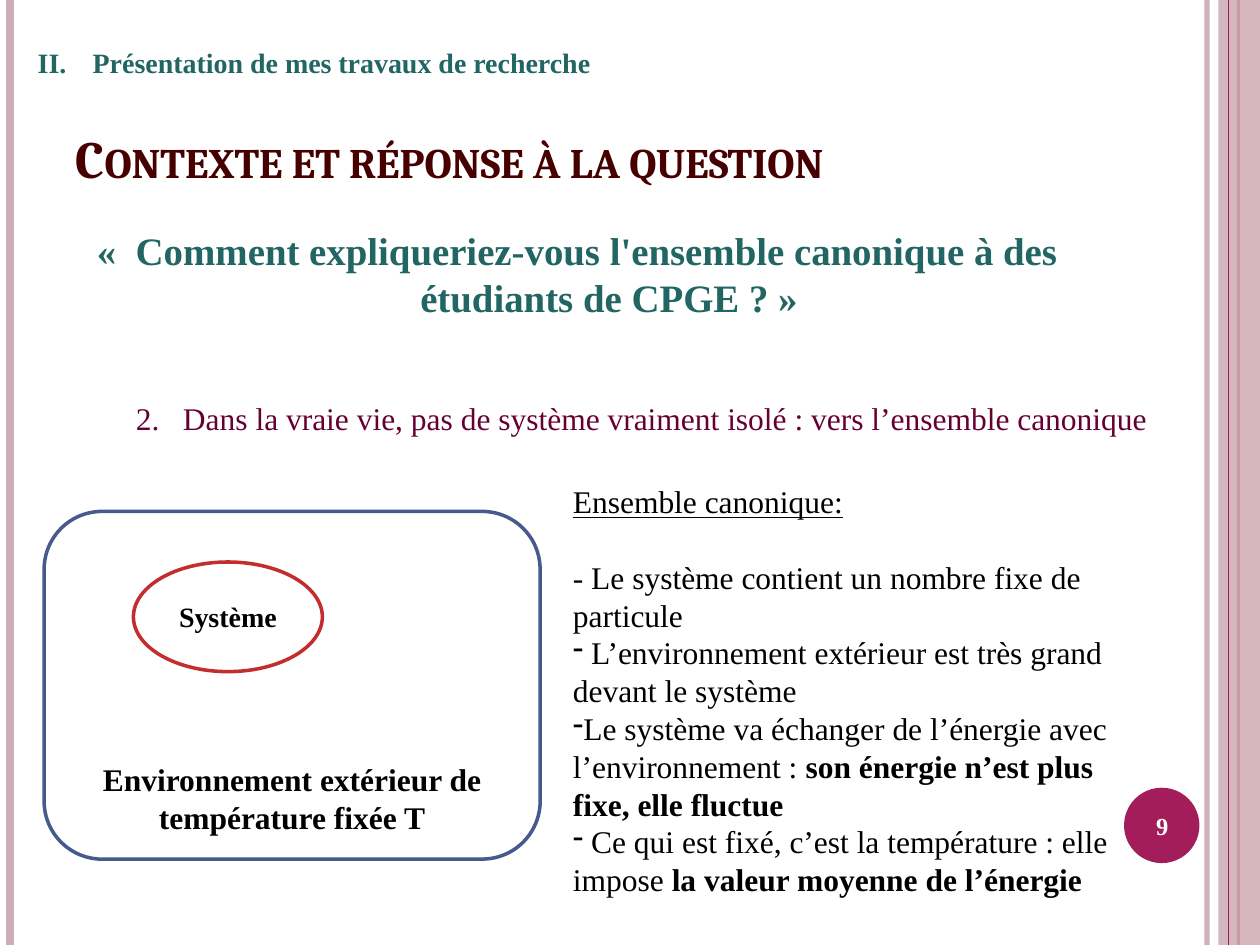
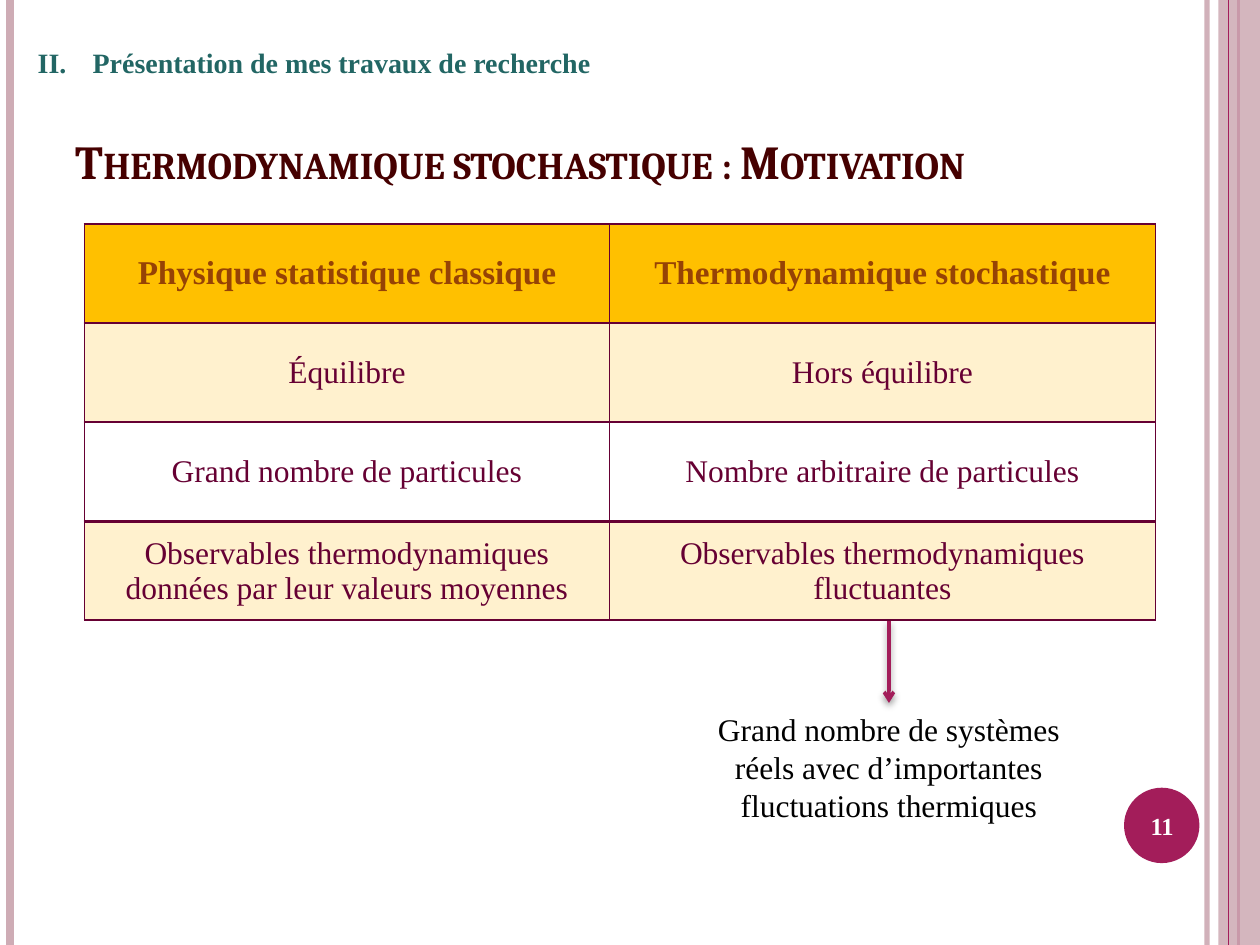
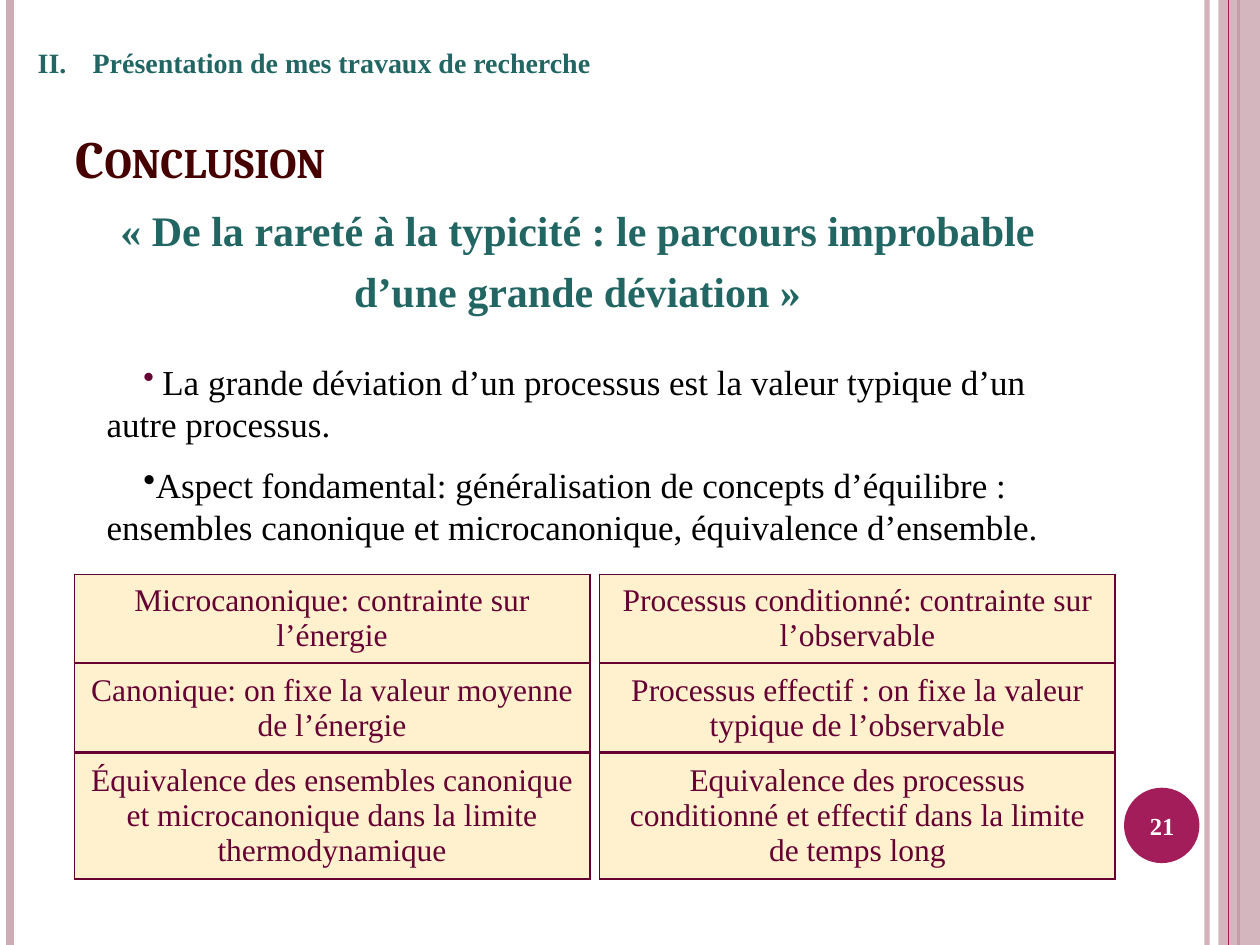
from lxml.etree import SubElement
from pptx import Presentation
from pptx.dml.color import RGBColor
from pptx.enum.shapes import MSO_CONNECTOR, MSO_SHAPE as SHAPE
from pptx.enum.text import MSO_ANCHOR as ANCHOR, PP_ALIGN as ALIGN
from pptx.oxml.ns import qn
from pptx.util import Cm, Pt

COLORS = {
    "rose": "CEACB5", "crimson": "A31D5A", "plum": "660033",
    "teal": "226664", "maroon": "460000", "brown": "964305",
    "gold": "FFC000", "cream": "FFF1CE", "blue": "475A8D",
    "red": "C32D2E", "white": "FFFFFF", "black": "000000",
}
BODY_FONT, TITLE_FONT = "Times New Roman", "Cambria"
SLIDE_W, SLIDE_H = 25.4, 19.05
TABLE_GAP = 0.02
SECTION = "Présentation de mes travaux de recherche"


def rgb(name):
    return RGBColor.from_string(COLORS[name])


# --- Text ---

def add_para(tf, align=ALIGN.LEFT, before=0):
    """Use the empty first paragraph, or add one."""
    p = tf.paragraphs[0]
    if p.runs:
        p = tf.add_paragraph()
    p.alignment = align
    p.space_before = Pt(before)
    return p


def add_run(p, text, size=18, color="black", bold=False, underline=False,
            font=BODY_FONT):
    r = p.add_run()
    r.text = text
    r.font.name, r.font.size = font, Pt(size)
    r.font.bold, r.font.underline = bold, underline
    r.font.color.rgb = rgb(color)
    return r


def set_indent(p, left, first):
    pPr = p._p.get_or_add_pPr()
    pPr.set("marL", str(Cm(left)))
    pPr.set("indent", str(Cm(first)))
    return pPr


def set_bullet(p, char, first=0):
    pPr = set_indent(p, 0, first)
    SubElement(pPr, qn("a:buFontTx"))
    SubElement(pPr, qn("a:buChar"), char=char)


def set_number(p, scheme, start, hanging):
    pPr = set_indent(p, hanging, -hanging)
    SubElement(pPr, qn("a:buAutoNum"), type=scheme, startAt=str(start))


def add_text_box(s, left, top, width, height, anchor=ANCHOR.TOP):
    box = s.shapes.add_textbox(Cm(left), Cm(top), Cm(width), Cm(height))
    box.text_frame.word_wrap = True
    box.text_frame.vertical_anchor = anchor
    return box


# --- Shapes and lines ---

def set_alpha(shape, percent):
    for clr in shape.element.iter(qn("a:srgbClr")):
        SubElement(clr, qn("a:alpha"), val=str(percent * 1000))


def add_filled(s, kind, left, top, width, height, fill, line=None):
    shape = s.shapes.add_shape(kind, Cm(left), Cm(top), Cm(width), Cm(height))
    shape.shadow.inherit = False
    shape.fill.solid()
    shape.fill.fore_color.rgb = rgb(fill)
    if line:
        shape.line.color.rgb = rgb(line)
        shape.line.width = Pt(2)
    else:
        shape.line.fill.background()
    return shape


def add_line(s, x1, y1, x2, y2, color, width):
    line = s.shapes.add_connector(MSO_CONNECTOR.STRAIGHT,
                                  Cm(x1), Cm(y1), Cm(x2), Cm(y2))
    line.line.color.rgb = rgb(color)
    line.line.width = Pt(width)
    SubElement(line.element.spPr, qn("a:effectLst"))
    return line


def add_arrow(s, x, top, target):
    """Arrow with a soft shadow, down to the top of target."""
    arrow = add_line(s, x, top, x, top + 1.6, "crimson", 2)
    arrow.end_connect(target, 0)
    spPr = arrow.element.spPr
    SubElement(spPr.find(qn("a:ln")), qn("a:tailEnd"), type="arrow")
    shadow = SubElement(spPr.find(qn("a:effectLst")), qn("a:outerShdw"),
                        blurRad=str(Pt(4)), dist=str(Pt(2)),
                        dir="5400000", rotWithShape="0")
    clr = SubElement(shadow, qn("a:srgbClr"), val=COLORS["black"])
    SubElement(clr, qn("a:alpha"), val="40000")


# --- Tables ---

def set_borders(cell, color):
    tcPr = cell._tc.get_or_add_tcPr()
    for side in ("lnL", "lnR", "lnT", "lnB"):
        ln = SubElement(tcPr, qn("a:" + side), w=str(Pt(1)))
        fill = SubElement(ln, qn("a:solidFill"))
        SubElement(fill, qn("a:srgbClr"), val=COLORS[color])


def add_row_table(s, left, top, widths, height, texts, fill="cream",
                  **style):
    table = s.shapes.add_table(1, len(texts), Cm(left), Cm(top),
                               Cm(sum(widths)), Cm(height)).table
    table.first_row = table.horz_banding = False
    for column, cell, width, text in zip(table.columns, table.rows[0].cells,
                                         widths, texts):
        column.width = Cm(width)
        set_borders(cell, "plum")
        if fill:
            cell.fill.solid()
            cell.fill.fore_color.rgb = rgb(fill)
        else:
            cell.fill.background()
        cell.vertical_anchor = ANCHOR.MIDDLE
        p = add_para(cell.text_frame, ALIGN.CENTER)
        add_run(p, text, **{"color": "plum", **style})


# --- Shared frame ---

def add_frame(s, layout):
    """Draw the side bands and page disc, then hand them to the layout."""
    inner = add_line(s, 24.33, 0, 24.33, SLIDE_H, "rose", 3)
    set_alpha(inner, 93)
    left_band = add_line(s, 0.2, 0, 0.2, SLIDE_H, "rose", 4.5)
    outer = add_line(s, 24.97, 0, 24.97, SLIDE_H, "crimson", 1.5)
    band = add_filled(s, SHAPE.RECTANGLE, 24.56, 0, 0.84, SLIDE_H, "rose")
    set_alpha(band, 87)
    thin = add_line(s, 24.77, 0, 24.77, SLIDE_H, "crimson", 0.75)
    disc = add_filled(s, SHAPE.OVAL, 22.66, 15.88, 1.52, 1.52, "crimson")
    for shape in (inner, left_band, outer, band, thin, disc):
        layout.shapes.element.append(shape.element)


def add_slide(prs, title, number, title_size=30):
    s = prs.slides.add_slide(prs.slide_layouts[5])
    ph = s.shapes.title
    ph.left, ph.top, ph.width, ph.height = Cm(1.27), Cm(2.13), Cm(22.83), Cm(1.8)
    ph.text_frame.vertical_anchor = ANCHOR.BOTTOM
    r = add_run(add_para(ph.text_frame), title, title_size, "maroon",
                bold=True, font=TITLE_FONT)
    r._r.get_or_add_rPr().set("cap", "small")

    section = add_text_box(s, 0.51, 0.74, 16.79, 1.02, ANCHOR.MIDDLE)
    p = add_para(section.text_frame)
    set_number(p, "romanUcPeriod", 2, 1.11)
    add_run(p, SECTION, 16, "teal", bold=True)

    page = add_text_box(s, 22.58, 15.93, 1.7, 1.45, ANCHOR.MIDDLE)
    p = add_para(page.text_frame, ALIGN.CENTER)
    add_run(p, str(number), 14, "white", bold=True)
    return s


def add_quote(s, top, height, lines, size):
    tf = add_text_box(s, 1.27, top, 20.75, height).text_frame
    for i, line in enumerate(lines):
        p = add_para(tf, ALIGN.CENTER, before=6 if i else 0)
        set_indent(p, 1.27, -1.27)
        add_run(p, line, size, "teal", bold=True)


# --- Slides ---

def add_context(s):
    add_quote(s, 4.45, 2.08, [
        "«  Comment expliqueriez-vous l'ensemble canonique à des "
        "étudiants de CPGE ? »"], 22.2)

    tf = add_text_box(s, 2.49, 7.92, 21.13, 1.02).text_frame
    p = add_para(tf)
    set_number(p, "arabicPeriod", 2, 0.95)
    add_run(p, "Dans la vraie vie, pas de système vraiment isolé : "
               "vers l’ensemble canonique", color="plum")

    # System inside its surroundings
    outside = add_filled(s, SHAPE.ROUNDED_RECTANGLE, 0.89, 10.31, 10, 7.01,
                         "white", "blue")
    outside.text_frame.vertical_anchor = ANCHOR.BOTTOM
    add_run(add_para(outside.text_frame, ALIGN.CENTER),
            "Environnement extérieur de température fixée T", bold=True)
    system = add_filled(s, SHAPE.OVAL, 2.69, 11.33, 3.81, 2.21,
                        "white", "red")
    system.text_frame.vertical_anchor = ANCHOR.MIDDLE
    system.text_frame.word_wrap = False
    add_run(add_para(system.text_frame, ALIGN.CENTER), "Système", 16,
            bold=True)

    # Properties of the ensemble
    tf = add_text_box(s, 11.3, 9.6, 11.76, 8.71).text_frame
    add_run(add_para(tf), "Ensemble canonique:", underline=True)
    add_run(add_para(tf, before=21.5),
            "- Le système contient un nombre fixe de particule")
    for plain, strong in (
        (" L’environnement extérieur est très grand devant le système", ""),
        ("Le système va échanger de l’énergie avec l’environnement : ",
         "son énergie n’est plus fixe, elle fluctue"),
        (" Ce qui est fixé, c’est la température : elle impose ",
         "la valeur moyenne de l’énergie"),
    ):
        p = add_para(tf)
        set_bullet(p, "-")
        add_run(p, plain)
        if strong:
            add_run(p, strong, bold=True)


def add_motivation(s):
    header = {"fill": "gold", "color": "brown", "size": 19, "bold": True}
    rows = [
        (("Physique statistique classique", "Thermodynamique stochastique"),
         header),
        (("Équilibre", "Hors équilibre"), {}),
        (("Grand nombre de particules", "Nombre arbitraire de particules"),
         {"fill": None}),
        (("Observables thermodynamiques données par leur valeurs moyennes",
          "Observables thermodynamiques fluctuantes"), {}),
    ]
    top, height = 4.52, 1.98
    for texts, style in rows:
        add_row_table(s, 1.7, top, (10.59, 11), height, texts, **style)
        top += height + TABLE_GAP

    note = add_text_box(s, 14.02, 14.17, 7.8, 2.57, ANCHOR.MIDDLE)
    add_run(add_para(note.text_frame, ALIGN.CENTER),
            "Grand nombre de systèmes réels avec d’importantes "
            "fluctuations thermiques")
    add_arrow(s, 17.92, top, note)


def add_conclusion(s):
    add_quote(s, 3.99, 2.95, [
        "« De la rareté à la typicité : le parcours improbable",
        "d’une grande déviation »"], 24)

    tf = add_text_box(s, 1.9, 7.14, 20.4, 4.11).text_frame
    p = add_para(tf)
    set_bullet(p, "•", 0.74)
    add_run(p, " ", color="plum")
    add_run(p, "La grande déviation d’un processus est la valeur typique "
               "d’un autre processus.", 20)
    p = add_para(tf, before=11)
    set_bullet(p, "•", 0.74)
    add_run(p, "Aspect fondamental: généralisation de concepts d’équilibre : "
               "ensembles canonique et microcanonique, équivalence "
               "d’ensemble.", 20)

    # Ensembles on the left, processes on the right
    columns = {
        1.5: ("Microcanonique: contrainte sur l’énergie",
              "Canonique: on fixe la valeur moyenne de l’énergie",
              "Équivalence des ensembles canonique et microcanonique dans "
              "la limite thermodynamique"),
        12.09: ("Processus conditionné: contrainte sur l’observable",
                "Processus effectif : on fixe la valeur typique de "
                "l’observable",
                "Equivalence des processus conditionné et effectif dans la "
                "limite de temps long"),
    }
    for left, texts in columns.items():
        top = 11.58
        for text, height in zip(texts, (1.78, 1.78, 2.54)):
            add_row_table(s, left, top, (10.39,), height, (text,))
            top += height + TABLE_GAP


def main():
    prs = Presentation()
    prs.slide_width, prs.slide_height = Cm(SLIDE_W), Cm(SLIDE_H)

    context = add_slide(prs, "Contexte et réponse à la question", 9)
    add_frame(context, context.slide_layout)
    add_context(context)
    add_motivation(add_slide(
        prs, "Thermodynamique stochastique : Motivation", 11, 27))
    add_conclusion(add_slide(prs, "Conclusion", 21))

    prs.save("out.pptx")


if __name__ == "__main__":
    main()
